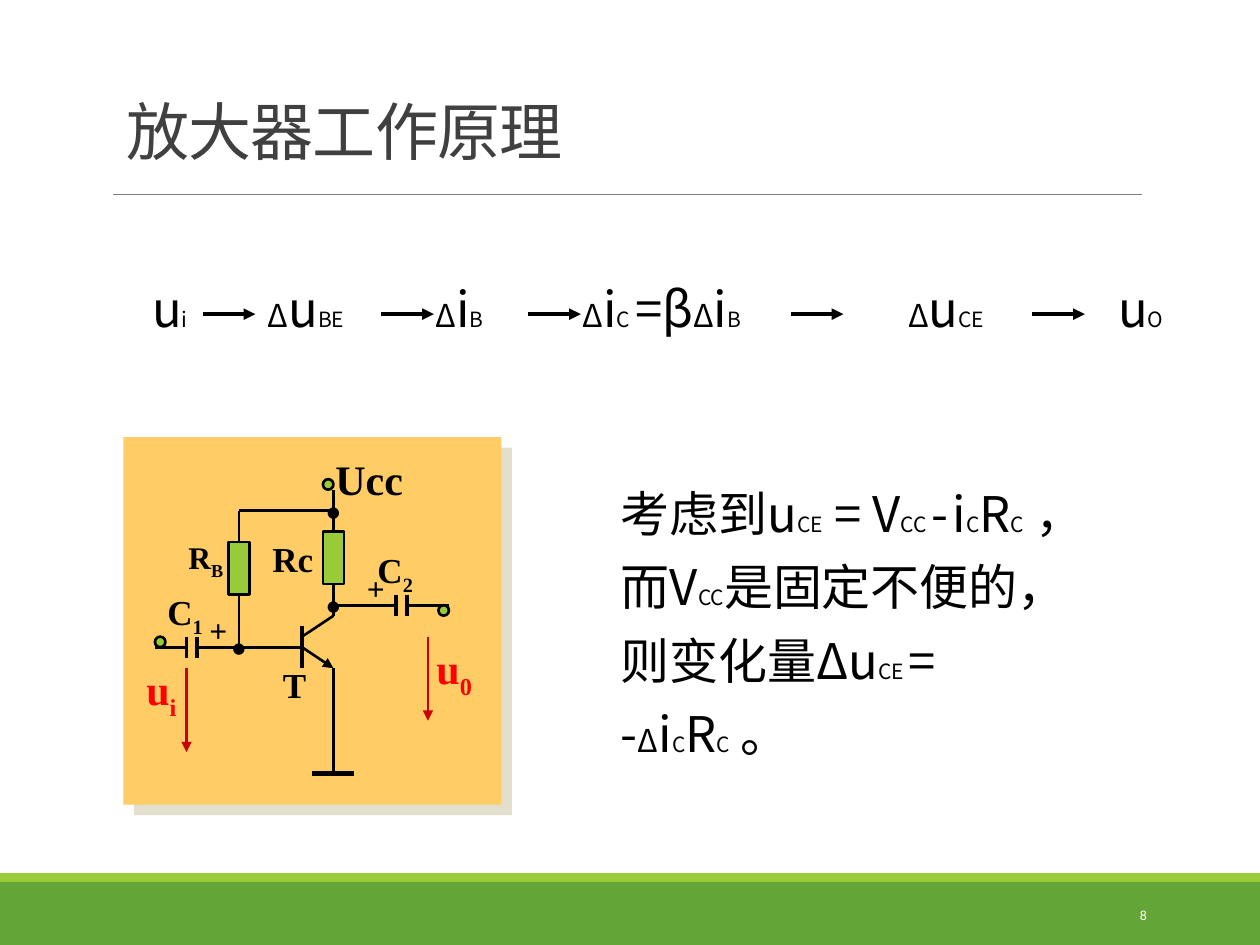
import pptx
import pptx.util
import pptx.dml.color
import pptx.enum.shapes
import pptx.enum.text
import pptx.oxml.ns
import lxml.etree

RGB = pptx.dml.color.RGBColor
BLACK = RGB(0x00, 0x00, 0x00)
WHITE = RGB(0xFF, 0xFF, 0xFF)
TITLE_GRAY = RGB(0x40, 0x40, 0x40)
RULE_GRAY = RGB(0x80, 0x80, 0x80)
GREEN = RGB(0x63, 0xA5, 0x37)
LIME = RGB(0x99, 0xCB, 0x38)
PANEL = RGB(0xFF, 0xCC, 0x66)
SHADE = RGB(0xE2, 0xDF, 0xCC)
RED = RGB(0xFF, 0x00, 0x00)
DARK_RED = RGB(0xCC, 0x00, 0x00)
SANS = "Noto Sans CJK SC"
SERIF = "Times New Roman"
BIG, MID, SUB = 28, 18, 12
SHAPE = pptx.enum.shapes.MSO_SHAPE
ANCHOR = pptx.enum.text.MSO_ANCHOR
ALIGN = pptx.enum.text.PP_ALIGN


class Slide:
    CELL = 1 / 12

    def __init__(self, prs):
        self.s = prs.slides.add_slide(prs.slide_layouts[5])
        self.grid(0, 0)

    def grid(self, left, top):
        self.left, self.top = left, top

    def point(self, col, row):
        return (pptx.util.Inches(self.left + col * self.CELL),
                pptx.util.Inches(self.top + row * self.CELL))

    def size(self, cols, rows):
        return (pptx.util.Inches(cols * self.CELL),
                pptx.util.Inches(rows * self.CELL))

    def font(self, r, size, color=BLACK, name=SANS, bold=False):
        r.font.size = pptx.util.Pt(size)
        r.font.name = name
        r.font.bold = bold
        r.font.color.rgb = color
        ea = lxml.etree.SubElement(r.font._element, pptx.oxml.ns.qn("a:ea"))
        ea.set("typeface", name)

    def title(self, text, box):
        sp = self.s.shapes.title
        sp.left, sp.top, sp.width, sp.height = map(pptx.util.Inches, box)
        tf = sp.text_frame
        tf.text = text
        tf.vertical_anchor = ANCHOR.BOTTOM
        p = tf.paragraphs[0]
        p.alignment = ALIGN.LEFT
        p.line_spacing = 0.85
        self.font(p.runs[0], 36, TITLE_GRAY)
        p.runs[0].font._element.set("spc", "-40")

    def text(self, col, row, cols, rows, lines, align=ALIGN.LEFT, spacing=None, wrap=True,
             anchor=ANCHOR.TOP, **style):
        sp = self.s.shapes.add_textbox(*self.point(col, row), *self.size(cols, rows))
        tf = sp.text_frame
        tf.word_wrap = wrap
        tf.vertical_anchor = anchor
        p = tf.paragraphs[0]
        p.alignment = align
        if spacing:
            p.line_spacing = spacing
        for i, line in enumerate(lines):
            if i:
                p.add_line_break()
            for text, size in line:
                r = p.add_run()
                r.text = text
                self.font(r, size, **style)
        return p

    def label(self, col, row, cols, rows, text, size, sub="", color=BLACK, **options):
        runs = [(t, size) for t in (text, sub) if t]
        p = self.text(col, row, cols, rows, [runs], color=color, name=SERIF, bold=True, **options)
        if sub:
            p.runs[1].font._element.set("baseline", "-25000")

    def shape(self, kind, col, row, cols, rows, fill, outline=False):
        sp = self.s.shapes.add_shape(kind, *self.point(col, row), *self.size(cols, rows))
        sp.shadow.inherit = False
        sp.fill.solid()
        sp.fill.fore_color.rgb = fill
        if outline:
            sp.line.color.rgb = BLACK
            sp.line.width = pptx.util.Pt(1.5)
        else:
            sp.line.fill.background()
        return sp

    def panel(self, cols, rows):
        sp = self.shape(SHAPE.RECTANGLE, 0, 0, cols, rows, PANEL)
        qn = pptx.oxml.ns.qn
        shadow = lxml.etree.SubElement(
            sp._element.spPr.find(qn("a:effectLst")), qn("a:outerShdw"),
            dist=str(pptx.util.Pt(8.5)), dir="2700000", algn="ctr", rotWithShape="0")
        lxml.etree.SubElement(shadow, qn("a:srgbClr"), val=str(SHADE))

    def line(self, x1, y1, x2, y2, width=1.5, color=BLACK, arrow=False):
        sp = self.s.shapes.add_connector(pptx.enum.shapes.MSO_CONNECTOR.STRAIGHT,
                                         *self.point(x1, y1), *self.point(x2, y2))
        sp.line.color.rgb = color
        sp.line.width = pptx.util.Pt(width)
        qn = pptx.oxml.ns.qn
        if arrow:
            lxml.etree.SubElement(sp.line._get_or_add_ln(), qn("a:tailEnd"), type="triangle")
        lxml.etree.SubElement(sp._element.spPr, qn("a:effectLst"))


def draw_frame(s):
    s.shape(SHAPE.RECTANGLE, 0, 84, 120, 6, GREEN)
    s.shape(SHAPE.RECTANGLE, 0, 83.16, 120, 0.84, LIME)
    s.line(10.8, 18.55, 108.8, 18.55, 0.5, RULE_GRAY)
    s.title("放大器工作原理", (0.9, 0.31, 8.25, 1.08))
    s.text(97.44, 84.72, 12.96, 4.8, [[("8", 7.9)]], align=ALIGN.RIGHT,
           anchor=ANCHOR.MIDDLE, color=WHITE, name="Calibri")


def draw_flow(s):
    s.grid(1.11, 2.16)
    delta = ("Δ", MID)
    for col, cols, runs in (
            (0, 6, [("u", BIG), ("i", SUB)]),
            (11, 12, [delta, ("u", BIG), ("BE", SUB)]),
            (27, 13, [delta, ("i", BIG), ("B", SUB)]),
            (41, 26, [delta, ("i", BIG), ("C ", SUB), ("=β", BIG), delta, ("i", BIG), ("B", SUB)]),
            (72, 12, [delta, ("u", BIG), ("CE", SUB)]),
            (92, 8.6, [("u", BIG), ("O", SUB)])):
        s.text(col, 0, cols, 6.8, [runs])
    for col in (6, 23, 37, 62, 85):
        s.line(col, 4, col + 5, 4, 2.25, arrow=True)


def draw_circuit(s):
    s.grid(0.98, 3.47)
    s.panel(36, 35)
    for wire in ((3, 20, 6, 20), (7, 20, 17, 20), (17, 19, 20, 17), (20, 17, 20, 5),
                 (20, 22, 20, 32), (11, 7, 20, 7), (11, 7, 11, 20), (20, 16, 26, 16),
                 (27, 16, 31, 16)):
        s.line(*wire)
    s.line(17, 20, 20, 22, arrow=True)
    for col, row in ((6, 20), (7, 20), (26, 16), (27, 16)):
        s.line(col, row - 1, col, row + 1, 2.25)
    s.line(17, 18, 17, 22, 2.25)
    s.line(18, 32, 22, 32, 3)
    for col, row in ((6, 22), (29, 19)):
        s.line(col, row, col, row + 8, color=DARK_RED, arrow=True)
    for col, row in ((19, 9), (10, 10)):
        s.shape(SHAPE.RECTANGLE, col, row, 2, 5, LIME, True)
    for col, row in ((3, 19), (19, 4), (30, 16)):
        s.shape(SHAPE.OVAL, col, row, 1, 1, LIME, True)
    for col, row in ((8, 17), (17, 13), (17, 4)):
        s.label(col, row, 6, 6, "•", 24, align=ALIGN.CENTER)
    s.label(28, 19, 7, 6, "u", 24, "0", RED, align=ALIGN.CENTER)
    s.label(1, 21, 7, 6, "u", 24, "i", RED)
    s.label(19, 1, 9, 6, "Ucc", 24)
    s.label(5, 9, 8, 4.8, "R", 18, "B")
    s.label(13, 9, 7, 5.2, "Rc", 20)
    s.label(14, 21, 6, 5.2, "T", 20)
    s.label(3, 14, 5.9, 5.2, "C", 20, "1", wrap=False)
    s.label(23, 10, 5.9, 5.2, "C", 20, "2", wrap=False)
    for col, row, cols in ((22, 12, 5), (7, 16, 4.2)):
        s.label(col, row, cols, 4.8, "+", 18)


def draw_explanation(s):
    s.grid(4.83, 3.67)
    s.text(0, 0, 51, 34, [
        [("考虑到u", BIG), ("CE", SUB), (" = V", BIG), ("CC ", SUB), ("-", BIG), (" ", SUB),
         ("i", BIG), ("C", SUB), ("R", BIG), ("C", SUB), (" ，", BIG)],
        [("而V", BIG), ("CC", SUB), ("是固定不便的，", BIG)],
        [("则变化量Δu", BIG), ("CE ", SUB), ("=", BIG)],
        [("-", BIG), ("Δ", MID), ("i", BIG), ("C", SUB), ("R", BIG), ("C", SUB), (" 。", BIG)],
    ], spacing=1.25)


def main():
    prs = pptx.Presentation()
    prs.slide_width = pptx.util.Inches(10)
    prs.slide_height = pptx.util.Inches(7.5)
    s = Slide(prs)
    draw_frame(s)
    draw_flow(s)
    draw_circuit(s)
    draw_explanation(s)
    prs.save("out.pptx")


if __name__ == "__main__":
    main()
